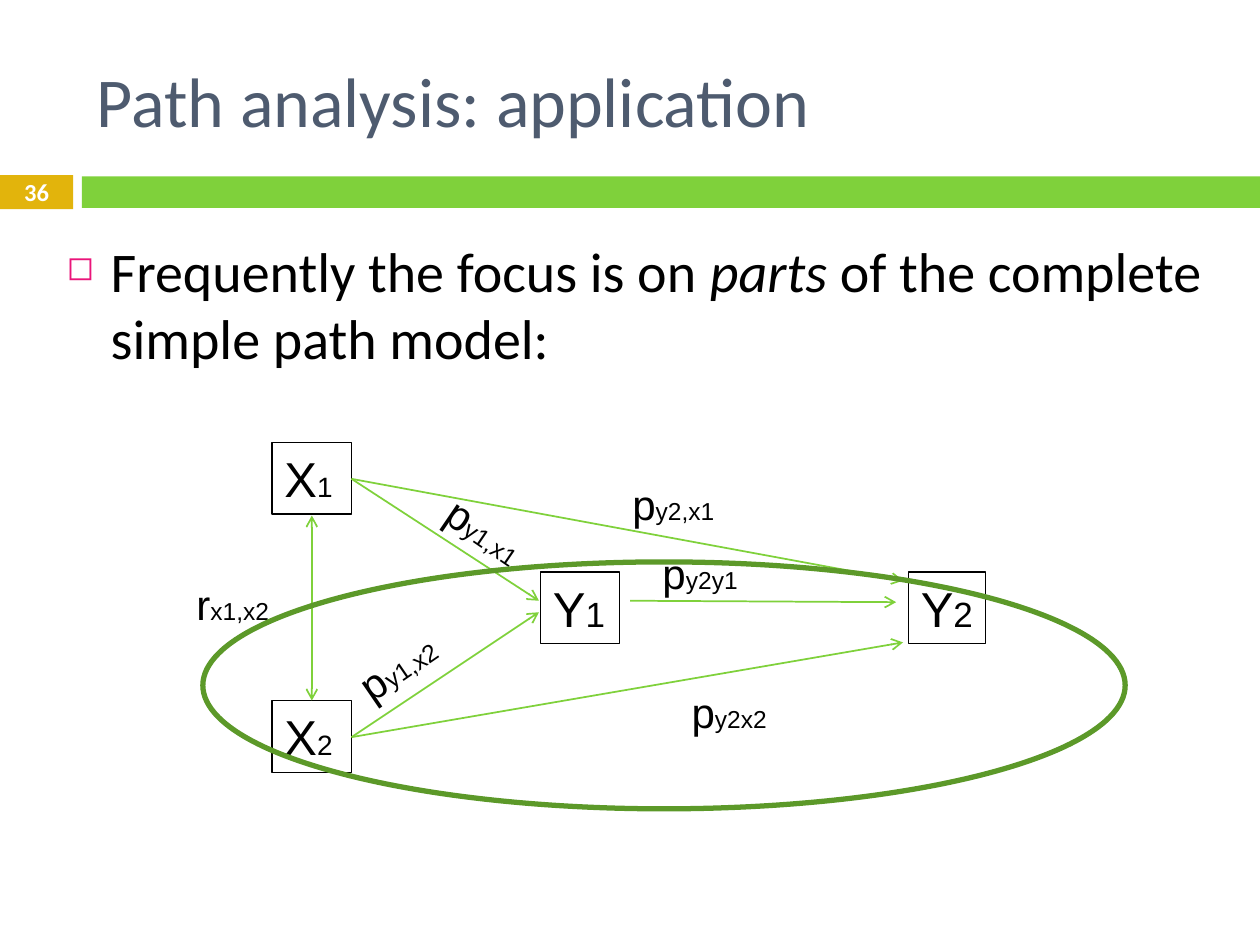
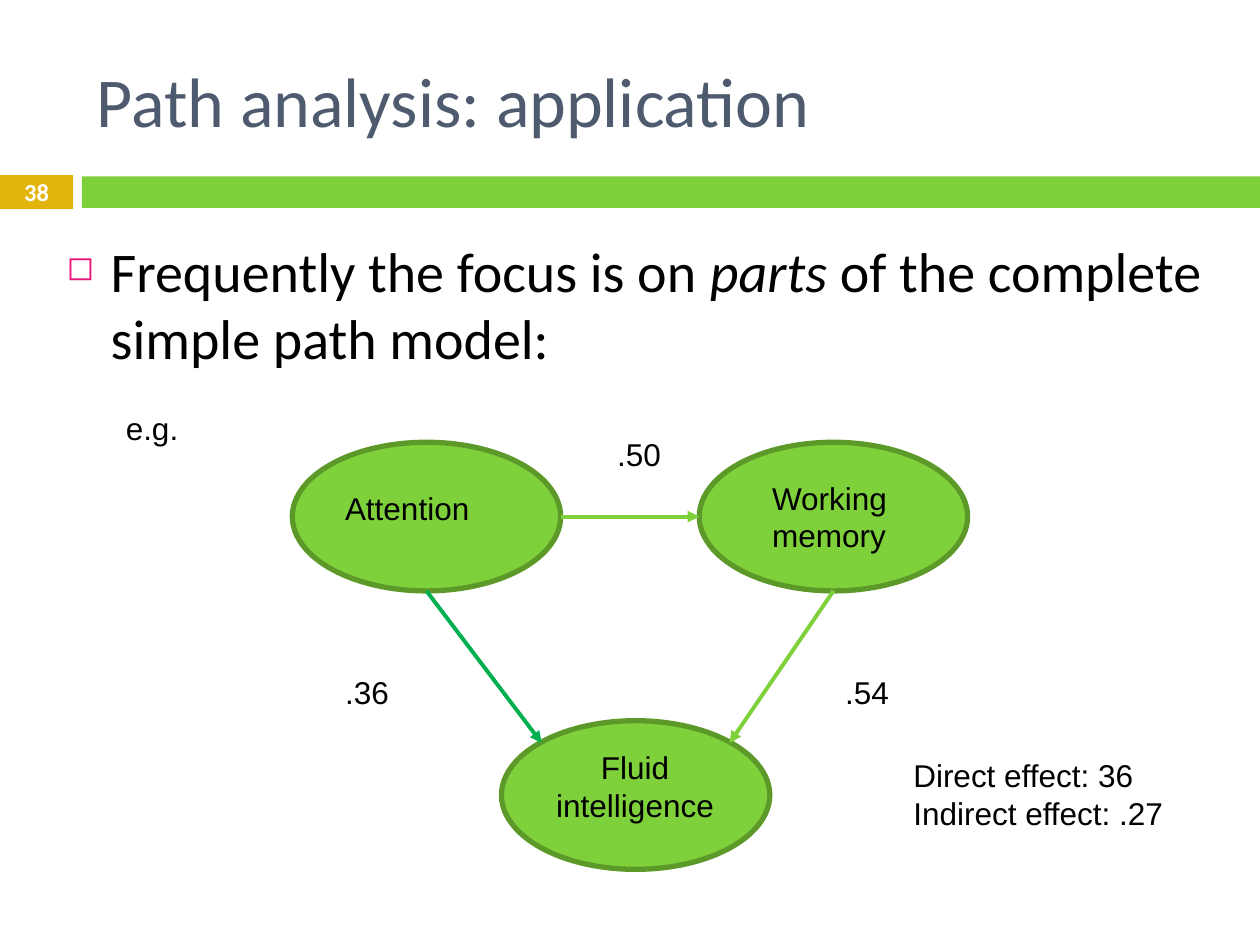
"""Builds two slides on path analysis."""
import dataclasses

import lxml.etree
import pptx
import pptx.dml.color
import pptx.enum.shapes
import pptx.enum.text
import pptx.oxml.ns
import pptx.util

RGBColor = pptx.dml.color.RGBColor
Alignment = pptx.enum.text.PP_ALIGN
Anchor = pptx.enum.text.MSO_ANCHOR
Preset = pptx.enum.shapes.MSO_SHAPE

GREEN = RGBColor(0x7F, 0xD1, 0x3B)
DARK_GREEN = RGBColor(0x5C, 0x99, 0x29)
EMERALD = RGBColor(0x00, 0xB0, 0x50)
GOLD = RGBColor(0xE2, 0xB4, 0x0C)
PINK = RGBColor(0xEA, 0x15, 0x7A)
SLATE = RGBColor(0x4E, 0x5B, 0x6F)
BLACK = RGBColor(0x00, 0x00, 0x00)
WHITE = RGBColor(0xFF, 0xFF, 0xFF)

HEADING_FONT = "Calibri"
DIAGRAM_FONT = "Arial"
CELL = pptx.util.Inches(0.1)
COLUMNS, ROWS = 100, 75


@dataclasses.dataclass
class Box:
    """A rectangle measured in cells of the slide grid."""
    left: float
    top: float
    width: float
    height: float

    def inner(self, column, row, columns, rows):
        """Return a box placed relative to this one."""
        return Box(self.left + column, self.top + row, columns, rows)

    def point(self, across, down):
        """Return the point at the given shares of width and height."""
        return self.left + across * self.width, self.top + down * self.height

    def lengths(self):
        """Return left, top, width and height as slide lengths."""
        return [round(value * CELL)
                for value in (self.left, self.top, self.width, self.height)]


SLIDE = Box(0, 0, COLUMNS, ROWS)


def add_run(paragraph, text, size, font=DIAGRAM_FONT, color=BLACK, bold=False, italic=False):
    """Add one styled run."""
    run = paragraph.add_run()
    run.text = text
    run.font.name = font
    run.font.size = pptx.util.Pt(size)
    run.font.color.rgb = color
    run.font.bold = bold
    run.font.italic = italic


def add_text(slide, box, *runs, anchor=Anchor.TOP, alignment=Alignment.LEFT, rotation=0):
    """Add a wrapped text box holding (text, size) runs and return its shape."""
    shape = slide.shapes.add_textbox(*box.lengths())
    shape.rotation = rotation
    frame = shape.text_frame
    frame.word_wrap = True
    frame.vertical_anchor = anchor
    if alignment == Alignment.LEFT:
        frame.margin_right = 0
    paragraph = frame.paragraphs[0]
    paragraph.alignment = alignment
    for run in runs:
        add_run(paragraph, *run)
    return shape


def add_preset(slide, preset, box, fill=None, line=None, weight=0.75):
    """Add a preset shape without shadow."""
    shape = slide.shapes.add_shape(preset, *box.lengths())
    shape.shadow.inherit = False
    if fill is None:
        shape.fill.background()
    else:
        shape.fill.solid()
        shape.fill.fore_color.rgb = fill
    if line is None:
        shape.line.fill.background()
    else:
        shape.line.color.rgb = line
        shape.line.width = pptx.util.Pt(weight)
    return shape


def add_arrow(slide, start, end, weight, tip, color=GREEN, both=False):
    """Draw a straight arrow between two grid points."""
    ends = [round(value * CELL) for value in (*start, *end)]
    connector = slide.shapes.add_connector(pptx.enum.shapes.MSO_CONNECTOR.STRAIGHT, *ends)
    connector.line.color.rgb = color
    connector.line.width = pptx.util.Pt(weight)
    properties = connector._element.spPr
    outline = properties.find(pptx.oxml.ns.qn("a:ln"))
    for tag in ("a:headEnd", "a:tailEnd") if both else ("a:tailEnd",):
        lxml.etree.SubElement(outline, pptx.oxml.ns.qn(tag), type=tip)
    lxml.etree.SubElement(properties, pptx.oxml.ns.qn("a:effectLst"))


def add_header(slide, box, number):
    """Place the title, the band and the slide number."""
    add_preset(slide, Preset.RECTANGLE, box.inner(6.5, 14, 93.5, 2.5), GREEN)
    badge = add_preset(slide, Preset.RECTANGLE, box.inner(0, 13.9, 5.8, 2.7), GOLD)
    badge.text_frame.vertical_anchor = Anchor.MIDDLE
    paragraph = badge.text_frame.paragraphs[0]
    paragraph.alignment = Alignment.CENTER
    add_run(paragraph, number, 14, HEADING_FONT, WHITE, bold=True)
    add_text(slide, box.inner(6.7, 2.5, 89.2, 10.8),
             ("Path analysis: application", 40, HEADING_FONT, SLATE), anchor=Anchor.MIDDLE)


def add_statement(slide, box):
    """Place the bulleted sentence."""
    shape = add_text(slide, box)
    shape.text_frame.margin_right = pptx.util.Inches(0.1)
    paragraph = shape.text_frame.paragraphs[0]
    properties = paragraph._p.get_or_add_pPr()
    indent = pptx.util.Inches(0.35)
    properties.set("marL", str(indent))
    properties.set("indent", str(-indent))
    bullet_color = lxml.etree.SubElement(properties, pptx.oxml.ns.qn("a:buClr"))
    lxml.etree.SubElement(bullet_color, pptx.oxml.ns.qn("a:srgbClr"), val=str(PINK))
    lxml.etree.SubElement(properties, pptx.oxml.ns.qn("a:buSzPct"), val="60000")
    lxml.etree.SubElement(properties, pptx.oxml.ns.qn("a:buChar"), char="◻")
    add_run(paragraph, "Frequently the focus is on ", 32, HEADING_FONT)
    add_run(paragraph, "parts", 32, HEADING_FONT, italic=True)
    add_run(paragraph, " of the complete simple path model:", 32, HEADING_FONT)


def add_path_model(slide, box):
    """Draw the four variables, their paths and the highlighted area."""
    variables = (("X", "1", 16, 7, 0), ("X", "2", 16, 7, 20.5),
                 ("Y", "1", 20, 28.3, 10.3), ("Y", "2", 20, 57.5, 10.3))
    nodes = {}
    for letter, index, index_size, column, row in variables:
        node = box.inner(column, row, 6.3 if column < 50 else 6.1, 5.7)
        nodes[letter + index] = node
        add_preset(slide, Preset.RECTANGLE, node, line=BLACK)
        add_text(slide, node, (letter, 28), (index, index_size))

    first, second, target = nodes["X1"], nodes["X2"], nodes["Y1"]
    final = nodes["Y2"]
    add_arrow(slide, first.point(0.5, 1.02), second.point(0.5, 0), 1, "arrow", both=True)
    for source, middle_share, final_share in ((first, 0.4, 0.12), (second, 0.56, 0.98)):
        start = source.point(1, 0.51)
        add_arrow(slide, start, target.point(-0.02, middle_share), 1, "arrow")
        add_arrow(slide, start, final.point(-0.07, final_share), 1, "arrow")
    add_arrow(slide, target.point(1.13, 0.4), final.point(-0.16, 0.42), 1, "arrow")

    labels = (("p", "y2,x1", 34.6, 2.4, 10.2, 0), ("p", "y2x2", 39.3, 18.9, 8.6, 0),
              ("r", "x1,x2", 0, 10.3, 7.8, 0), ("p", "y1,x1", 19.6, 4.8, 9.4, 34.4),
              ("p", "y1,x2", 12.6, 15, 9.4, 325.6), ("p", "y2y1", 37, 7.9, 8.6, 0))
    for symbol, subscript, column, row, columns, rotation in labels:
        add_text(slide, box.inner(column, row, columns, 5), (symbol, 24), (subscript, 14),
                 rotation=rotation)
    add_preset(slide, Preset.OVAL, box.inner(1.5, 9.5, 73.2, 19.6), line=DARK_GREEN, weight=3)


def add_example(slide, box):
    """Draw the three-variable example with its coefficients."""
    attention, memory, intelligence = (
        box.inner(column, row, 21.3, 11.8)
        for column, row in ((14.2, 3.1), (46.5, 3.1), (30.8, 25.2)))
    for oval in (attention, memory, intelligence):
        add_preset(slide, Preset.OVAL, oval, GREEN, DARK_GREEN, 3)

    arrows = ((attention.point(1, 0.5), memory.point(0, 0.5), GREEN),
              (attention.point(0.5, 1), intelligence.point(0.15, 0.15), EMERALD),
              (memory.point(0.5, 1), intelligence.point(0.85, 0.15), GREEN))
    for start, end, color in arrows:
        add_arrow(slide, start, end, 2.25, "triangle", color)

    labels = (("e.g.", box.inner(0, 0, 11, 4)),
              ("Attention", attention.inner(3.2, 3.2, 15, 4)),
              ("Working memory", memory.inner(4.8, 2.4, 13.4, 7)),
              (".54", box.inner(57.1, 20.9, 10.6, 4)),
              (".36", box.inner(17.4, 20.9, 5.5, 4)),
              (".50", box.inner(39, 2, 5.5, 4)))
    for text, place in labels:
        add_text(slide, place, (text, 18))
    add_text(slide, intelligence.inner(3.1, 1.7, 15, 7), ("Fluid intelligence", 18),
             alignment=Alignment.CENTER)
    effects = add_text(slide, box.inner(62.5, 27.5, 26.2, 7), ("Direct effect: 36", 18))
    add_run(effects.text_frame.add_paragraph(), "Indirect effect: .27", 18)


def main():
    """Build and save the presentation."""
    presentation = pptx.Presentation()
    presentation.slide_width = COLUMNS * CELL
    presentation.slide_height = ROWS * CELL
    pages = (("36", add_path_model, SLIDE.inner(14.6, 35.1, 74.7, 29.1)),
             ("38", add_example, SLIDE.inner(9, 32, 88.7, 37)))
    for number, add_diagram, diagram_box in pages:
        slide = presentation.slides.add_slide(presentation.slide_layouts[6])
        add_header(slide, SLIDE, number)
        add_statement(slide, SLIDE.inner(4.3, 18.3, 93.3, 56.7))
        add_diagram(slide, diagram_box)
    presentation.save("out.pptx")


if __name__ == "__main__":
    main()
